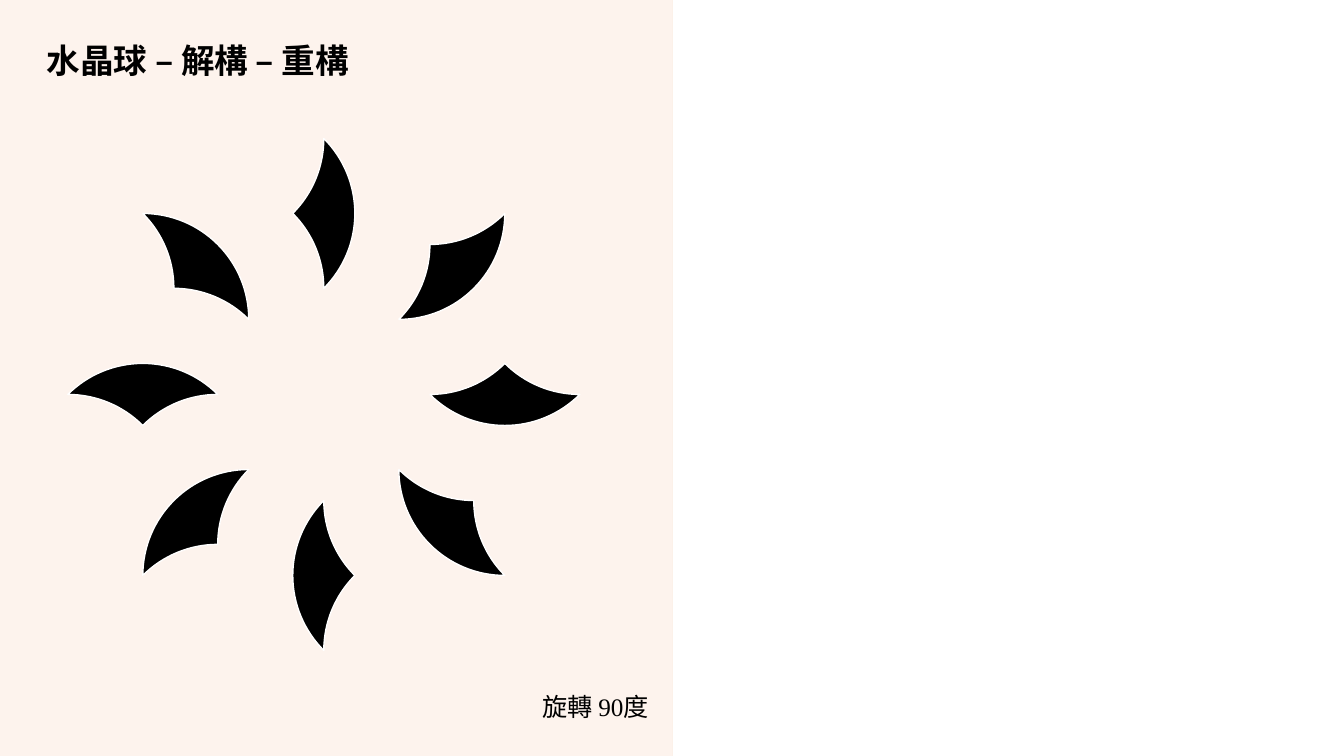
from math import cos, pi, radians, sin, sqrt, tan

from lxml.etree import SubElement
from pptx import Presentation
from pptx.dml.color import RGBColor
from pptx.enum.shapes import MSO_CONNECTOR, MSO_SHAPE
from pptx.enum.text import MSO_ANCHOR, MSO_AUTO_SIZE, PP_ALIGN
from pptx.oxml.ns import qn
from pptx.util import Cm, Pt

SLIDE_W, SLIDE_H = Cm(33.87), Cm(19.05)
CJK_FONT = "Noto Sans CJK SC"


def paint(color_format, hex_color, opacity=None):
    color_format.rgb = RGBColor.from_string(hex_color)
    if opacity is not None:
        color = color_format._xFill.find(qn("a:srgbClr"))
        SubElement(color, qn("a:alpha"), val=str(opacity * 1000))


def add_panel(slide, left, top, width, height):
    """Tinted left half with a hairline along its right edge."""
    panel = slide.shapes.add_shape(MSO_SHAPE.RECTANGLE, left, top, width, height)
    panel.shadow.inherit = False
    panel.fill.solid()
    paint(panel.fill.fore_color, "F4B183", 14)
    panel.line.fill.background()

    edge = slide.shapes.add_connector(
        MSO_CONNECTOR.STRAIGHT, left + width, top + height, left + width, top)
    edge.line.width = Pt(0.25)
    edge.line.fill.solid()
    paint(edge.line.fill.fore_color, "FBE5D6", 50)
    SubElement(edge._element.spPr, qn("a:effectLst"))


def add_text(slide, box, text, size, font, bold=False, align=PP_ALIGN.LEFT):
    label = slide.shapes.add_textbox(*box)
    frame = label.text_frame
    frame.word_wrap = True
    paragraph = frame.paragraphs[0]
    paragraph.alignment = align
    run = paragraph.add_run()
    run.text = text
    run.font.size = Pt(size)
    run.font.bold = bold
    run.font.name = font
    paint(run.font.color, "000000")
    SubElement(run._r.get_or_add_rPr(), qn("a:ea"), typeface=CJK_FONT)
    return frame


def add_title(slide, box):
    frame = add_text(slide, box, "水晶球 – 解構 – 重構", 24, CJK_FONT, bold=True)
    frame.word_wrap = False
    frame.vertical_anchor = MSO_ANCHOR.MIDDLE
    frame.paragraphs[0].line_spacing = 0.9


def add_caption(slide, box):
    frame = add_text(slide, box, "旋轉 90度", 18, "Times New Roman", align=PP_ALIGN.RIGHT)
    frame.auto_size = MSO_AUTO_SIZE.SHAPE_TO_FIT_TEXT


def arc(center_x, center_y, radius, start, end):
    """Two control points and the end point of a Bezier arc."""
    a, b = radians(start), radians(end)
    k = 4 / 3 * tan((b - a) / 4)
    unit = [(cos(a) - k * sin(a), sin(a) + k * cos(a)),
            (cos(b) + k * sin(b), sin(b) - k * cos(b)),
            (cos(b), sin(b))]
    return [(center_x + radius * x, center_y + radius * y) for x, y in unit]


def petal_outline(radius):
    """A convex edge of two arcs and two concave arcs, around the middle of the tips."""
    half = radius / sqrt(2)
    return ([(0, -half)]
            + arc(-half, 0, radius, -45, 0)
            + arc(-half, 0, radius, 0, 45)
            + arc(-radius, half, radius, 0, -45)
            + arc(-radius, -half, radius, 45, 0))


def turn(points, angle):
    c, s = cos(angle), sin(angle)
    return [(x * c - y * s, x * s + y * c) for x, y in points]


def curve_edges(shape):
    """Join each three line segments into one Bezier curve."""
    segments = list(shape._element.iter(qn("a:lnTo")))
    for first, second, third in zip(*[iter(segments)] * 3):
        curve = first.getparent().makeelement(qn("a:cubicBezTo"))
        first.addprevious(curve)
        for segment in (first, second, third):
            curve.append(segment[0])
            segment.getparent().remove(segment)


def add_petal(slide, center_x, center_y, outline):
    """Draw the outline a quarter turn back, then rotate the shape by 90 degrees."""
    xs, ys = zip(*outline)
    mid_x, mid_y = (min(xs) + max(xs)) / 2, (min(ys) + max(ys)) / 2
    centered = [(x - mid_x, y - mid_y) for x, y in outline]
    points = [(round(center_x + mid_x + x), round(center_y + mid_y + y))
              for x, y in turn(centered, -pi / 2)]
    builder = slide.shapes.build_freeform(*points[0])
    builder.add_line_segments(points[1:], close=False)
    petal = builder.convert_to_shape()
    curve_edges(petal)
    SubElement(next(petal._element.iter(qn("a:path"))), qn("a:close"))
    petal.rotation = 90
    petal.shadow.inherit = False
    petal.fill.solid()
    paint(petal.fill.fore_color, "000000")
    petal.line.width = Pt(1)
    paint(petal.line.color, "FFFFFF")


def add_petal_ring(slide, left, top, size):
    """Eight petals, 45 degrees apart, in a square box."""
    petal_radius = Cm(2.67)
    ring_radius = size / 2 - petal_radius / sqrt(2)
    center_x, center_y = left + size / 2, top + size / 2
    outline = petal_outline(petal_radius)
    # Clockwise from the top, stacked from the top row down
    for step in (0, 7, 1, 2, 6, 3, 5, 4):
        angle = step * pi / 4
        add_petal(slide, center_x + ring_radius * sin(angle),
                  center_y - ring_radius * cos(angle), turn(outline, angle))


def main():
    deck = Presentation()
    deck.slide_width, deck.slide_height = SLIDE_W, SLIDE_H
    slide = deck.slides.add_slide(deck.slide_layouts[6])

    add_panel(slide, 0, 0, Cm(16.95), SLIDE_H)
    add_title(slide, (Cm(0.93), Cm(1.02), Cm(15.11), Cm(1.12)))
    add_caption(slide, (Cm(8.01), Cm(17.3), Cm(8.59), Cm(1.02)))
    add_petal_ring(slide, Cm(1.71), Cm(3.49), Cm(12.9))

    deck.save("out.pptx")


if __name__ == "__main__":
    main()
